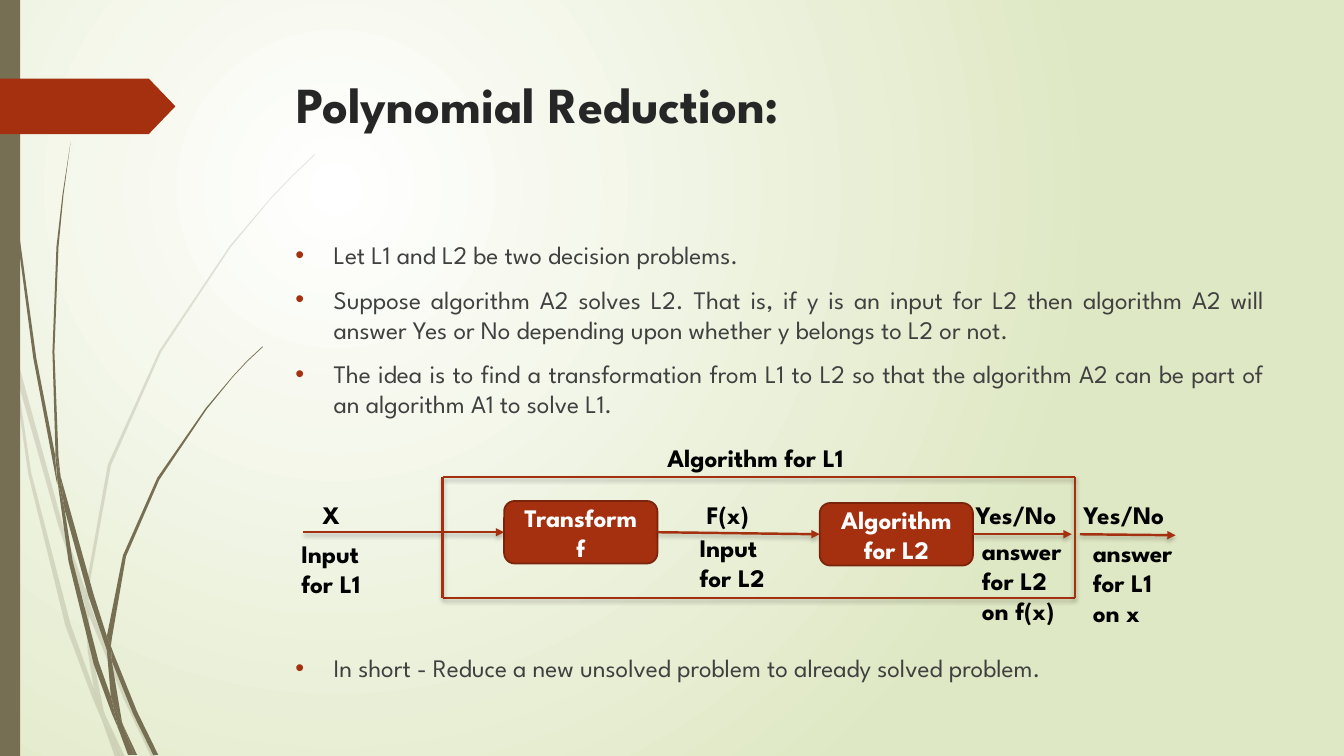
import pptx
import pptx.util
import pptx.dml.color
import pptx.enum.shapes
import pptx.enum.text
import pptx.oxml
import pptx.oxml.ns
from lxml import etree

# Content
FONT = "League Spartan"
COLORS = {"olive": "766F54", "red": "A53010", "edge": "7A240C", "title": "262626",
          "body": "404040", "black": "000000", "white": "FFFFFF", "green": "DFE8C4"}
TITLE = "Polynomial Reduction:"
BULLETS = [  # text, space before in points
    ("Let L1 and L2 be two decision problems.", 10),
    ("Suppose algorithm A2 solves L2. That is, if y is an input for L2 then algorithm A2 "
     "will answer Yes or No depending upon whether y belongs to L2 or not.", 10),
    ("The idea is to find a transformation from L1 to L2 so that the algorithm A2 can be "
     "part of an algorithm A1 to solve L1.", 10),
    ("In short - Reduce a new unsolved problem to already solved problem.", 167),
]
BOXES = [("Transform f", 5, 4.97), ("Algorithm for L2", 8.13, 4.99)]
BOX_W, BOX_H = 1.52, 0.62
ABOVE, BELOW, LINE_H = 4.9, 5.29, 0.305
LABELS = [  # lines, left, top, width
    (["Algorithm for L1"], 6.52, 4.34, 2.1),
    (["X"], 3.1, ABOVE, 0.37),
    (["F(x)"], 6.91, ABOVE, 0.66),
    (["Yes/No"], 9.58, ABOVE, 1.09),
    (["Yes/No"], 10.65, ABOVE, 1.09),
    (["Input", "for L1"], 2.89, BELOW, 0.85),
    (["Input", "for L2"], 6.84, BELOW - 0.06, 0.85),
    (["answer", "for L2", "on f(x)"], 9.64, BELOW - 0.03, 1.08),
    (["answer", "for L1", "on x"], 10.74, BELOW - 0.01, 1.08),
]
FRAME = (4.39, 4.73, 10.66, 5.93)  # left, top, right, bottom

# Grass blades, each a flat run of x, y corners
PALE = [
    [0.11, 3.5, 0.09, 3.22, 0, 2.82, 0, 2.99, 0.1, 3.44],
    [0.58, 5.22, 0.84, 5.99, 0.85, 5.86, 0.62, 5.2, 0.14, 3.45, 0.17, 3.76],
    [0.92, 6.07, 0.88, 5.96, 0.88, 6.1, 1.23, 6.94, 1.5, 7.51, 1.55, 7.51, 1.27, 6.92],
    [1.19, 7.51, 1.24, 7.51, 1.05, 7.11],
    [0.93, 6.83, 0.7, 6.19, 0.31, 4.69, 0.17, 3.76, 0.11, 3.5, 0.28, 4.7, 0.65, 6.21,
     0.92, 6.93, 1.01, 7.14, 0.99, 7.07],
    [0.84, 5.99, 0.87, 6.46, 0.93, 6.83, 0.96, 6.92, 1.05, 7.11, 1.03, 7.06, 0.91, 6.46,
     0.88, 6.1, 0.88, 6.08],
    [0.88, 5.84, 1.1, 4.62, 1.6, 3.49, 2.29, 2.45, 2.68, 1.98, 2.9, 1.75, 3.12, 1.54,
     3.12, 1.53, 2.89, 1.75, 2.68, 1.97, 2.28, 2.44, 1.58, 3.48, 1.07, 4.61, 0.85, 5.84,
     0.85, 5.86, 0.88, 5.96],
    [1.01, 7.14, 1.14, 7.51, 1.19, 7.51],
    [0.88, 6.08, 0.88, 6.1, 0.88, 5.96, 0.85, 5.86, 0.84, 5.99],
    [0.96, 6.92, 0.93, 6.83, 0.99, 7.07, 1.01, 7.14, 1.19, 7.51, 1.05, 7.11],
]
DARK = [
    [0.07, 1.1, 0.17, 2.33, 0.33, 3.55, 0.56, 4.77, 0.57, 4.81, 0.55, 4.57, 0.55, 4.53,
     0.36, 3.55, 0.19, 2.32, 0.08, 1.09, 0.05, 0.48, 0.04, 0, 0.03, 0, 0.04, 0.48],
    [0.88, 5.92, 1.06, 6.45, 1.06, 6.33, 1.06, 6.31, 0.93, 5.9, 0.6, 4.72, 0.64, 5.05],
    [1.13, 6.49, 1.1, 6.41, 1.11, 6.56, 1.32, 7.08, 1.52, 7.49, 1.57, 7.49, 1.36, 7.06],
    [1.1, 6.91, 0.98, 6.57, 0.72, 5.56, 0.64, 5.05, 0.57, 4.77, 0.68, 5.57, 0.93, 6.59,
     1.11, 7.08, 1.17, 7.22, 1.16, 7.17],
    [0.6, 4.72, 0.58, 4.53, 0.54, 3.49, 0.58, 2.45, 0.63, 1.93, 0.7, 1.41, 0.62, 1.93,
     0.56, 2.45, 0.52, 3.49, 0.55, 4.49],
    [1.33, 7.49, 1.36, 7.49, 1.22, 7.19],
    [0.57, 4.77, 0.64, 5.05, 0.6, 4.72, 0.55, 4.49, 0.55, 4.53],
    [1.11, 6.33, 1.25, 5.52, 1.58, 4.76, 2.05, 4.06, 2.31, 3.74, 2.45, 3.59, 2.61, 3.44,
     2.6, 3.44, 2.45, 3.58, 2.31, 3.73, 2.04, 4.05, 1.56, 4.74, 1.22, 5.51, 1.06, 6.31,
     1.1, 6.41],
    [1.17, 7.22, 1.27, 7.49, 1.31, 7.49],
    [1.06, 6.45, 1.1, 6.91, 1.16, 7.06, 1.22, 7.19, 1.21, 7.16, 1.11, 6.56, 1.09, 6.51],
    [1.06, 6.45, 1.09, 6.51, 1.11, 6.56, 1.1, 6.41, 1.06, 6.31, 1.06, 6.33],
    [1.16, 7.06, 1.1, 6.91, 1.16, 7.17, 1.17, 7.22, 1.3, 7.49, 1.33, 7.49, 1.22, 7.19],
]

inch, qn = pptx.util.Inches, pptx.oxml.ns.qn
SHAPE = pptx.enum.shapes.MSO_SHAPE
ALIGN = pptx.enum.text.PP_ALIGN
ANCHOR = pptx.enum.text.MSO_ANCHOR
FIT = pptx.enum.text.MSO_AUTO_SIZE


def rgb(name):
    return pptx.dml.color.RGBColor.from_string(COLORS[name])


def add(node, tag, **attrs):
    return etree.SubElement(node, qn(tag), {k: str(v) for k, v in attrs.items()})


def write(para, text, color, size=18, bold=True, align=ALIGN.LEFT):
    para.text, para.alignment = text, align
    font = para.font
    font.name, font.size, font.bold = FONT, pptx.util.Pt(size), bold
    font.color.rgb = rgb(color)


def paint(shape, fill, line=None):
    shape.shadow.inherit = False
    shape.fill.solid()
    shape.fill.fore_color.rgb = rgb(fill)
    if line:
        shape.line.color.rgb = rgb(line)
        shape.line.width = pptx.util.Pt(1.25)
    else:
        shape.line.fill.background()


def block(kind, left, top, width, height, fill, line=None):
    shape = slide.shapes.add_shape(kind, *map(inch, (left, top, width, height)))
    paint(shape, fill, line)
    return shape


def blade(shapes, flat, alpha):
    spots = [(inch(x), inch(y)) for x, y in zip(flat[::2], flat[1::2])]
    build = shapes.build_freeform(*spots[0])
    build.add_line_segments(spots[1:], close=True)
    shape = build.convert_to_shape()
    paint(shape, "olive")
    if alpha < 100:
        tint = shape.element.spPr.find(".//" + qn("a:srgbClr"))
        add(tint, "a:alpha", val=alpha * 1000)


def link(x1, y1, x2, y2, head=False):
    line = slide.shapes.add_connector(pptx.enum.shapes.MSO_CONNECTOR.STRAIGHT,
                                      *map(inch, (x1, y1, x2, y2)))
    line.line.color.rgb = rgb("red")
    line.line.width = pptx.util.Pt(1.75)
    if head:
        add(line.line._get_or_add_ln(), "a:tailEnd", type="triangle")
    cast = add(add(line._element.spPr, "a:effectLst"), "a:outerShdw",
               blurRad=38100, dist=25400, dir=5400000, rotWithShape=0)
    add(add(cast, "a:srgbClr", val=COLORS["black"]), "a:alpha", val=25000)
    return line


# Slide and background
deck = pptx.Presentation()
deck.slide_width, deck.slide_height = inch(13.33), inch(7.5)
slide = deck.slides.add_slide(deck.slide_layouts[5])
back = slide.background.fill
back.gradient()
for stop, name in zip(back.gradient_stops, ("white", "green")):
    stop.color.rgb = rgb(name)
grad = slide.element.find(".//" + qn("a:gradFill"))
grad.remove(grad.find(qn("a:lin")))
add(add(grad, "a:path", path="circle"), "a:fillToRect", l=50000, t=50000, r=100000, b=100000)

# Side decoration
for blades, alpha in ((PALE, 20), (DARK, 100)):
    group = slide.shapes.add_group_shape()
    for flat in blades:
        blade(group.shapes, flat, alpha)
block(SHAPE.RECTANGLE, 0, 0, 0.2, 7.5, "olive")
tag = block(SHAPE.PENTAGON, 0, 0.78, 1.74, 0.55, "red")
tag.adjustments[0] = 0.48

# Title
title = slide.shapes.title
title.left, title.top, title.width, title.height = map(inch, (2.84, 0.68, 9.75, 1.4))
title.text_frame.vertical_anchor = ANCHOR.TOP
title.text_frame.auto_size = FIT.NONE
write(title.text_frame.paragraphs[0], TITLE, "title", 36)

# Bullets
body = slide.shapes.add_textbox(*map(inch, (2.83, 2.33, 9.81, 5.17))).text_frame
body.word_wrap = True
for i, (text, gap) in enumerate(BULLETS):
    para = body.add_paragraph() if i else body.paragraphs[0]
    props = para._p.get_or_add_pPr()
    props.set("marL", str(inch(0.38)))
    props.set("indent", str(inch(-0.38)))
    add(add(props, "a:buClr"), "a:srgbClr", val=COLORS["red"])
    add(props, "a:buFont", typeface="Arial")
    add(props, "a:buChar", char="•")
    para.space_before = pptx.util.Pt(gap)
    write(para, text, "body", bold=False, align=ALIGN.JUSTIFY)

# Diagram boxes
steps = []
for text, left, top in BOXES:
    step = block(SHAPE.ROUNDED_RECTANGLE, left, top, BOX_W, BOX_H, "red", "edge")
    step.text_frame.word_wrap = True
    step.text_frame.vertical_anchor = ANCHOR.MIDDLE
    write(step.text_frame.paragraphs[0], text, "white", align=ALIGN.CENTER)
    steps.append(step)

# Arrows and frame
first, second = steps
mid = link(6.52, 5.29, 8.13, 5.29, True)
mid.begin_connect(first, 3)
mid.end_connect(second, 1)
link(3.01, 5.28, 4.97, 5.28, True).end_connect(first, 1)
link(9.68, 5.3, 10.63, 5.3, True).begin_connect(second, 3)
link(10.71, 5.3, 11.66, 5.31, True)
x1, y1, x2, y2 = FRAME
for ends in ((x1, y1, x2, y1), (x1, y2, x2, y2), (x1, y1, x1, y2), (x2, y1, x2, y2)):
    link(*ends)

# Labels
for lines, left, top, width in LABELS:
    height = 0.1 + LINE_H * len(lines)
    frame = slide.shapes.add_textbox(*map(inch, (left, top, width, height))).text_frame
    frame.word_wrap = False
    frame.auto_size = FIT.SHAPE_TO_FIT_TEXT
    for i, text in enumerate(lines):
        write(frame.add_paragraph() if i else frame.paragraphs[0], text, "black")

deck.save("out.pptx")
